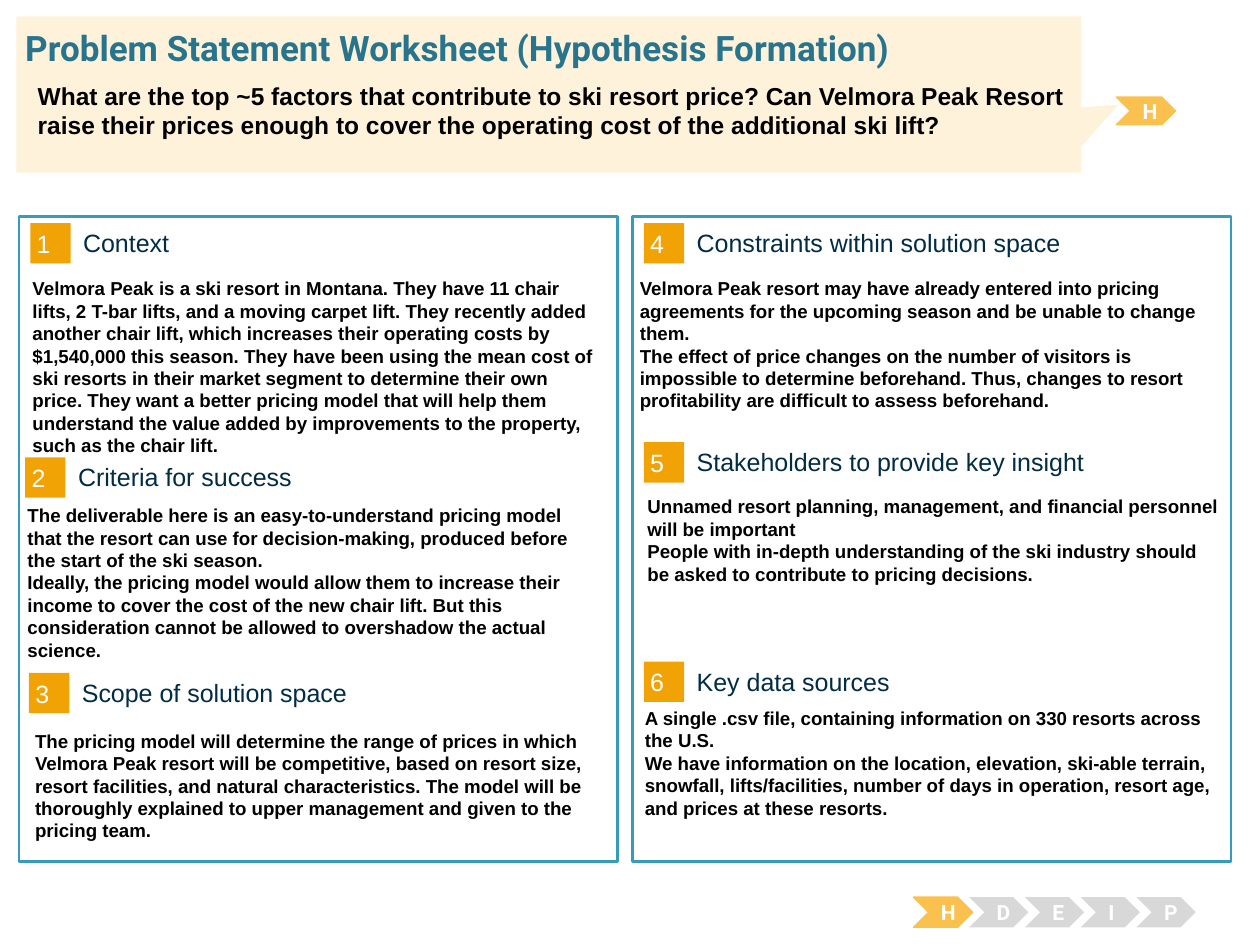
from pptx import Presentation
from pptx.dml.color import RGBColor
from pptx.enum.shapes import MSO_SHAPE as Kind
from pptx.enum.text import MSO_ANCHOR as Anchor, PP_ALIGN as Align
from pptx.util import Inches, Pt

COLS, ROWS = 100, 75
WHITE = RGBColor(0xFF, 0xFF, 0xFF)
BLACK = RGBColor(0, 0, 0)
NAVY = RGBColor(0x00, 0x2C, 0x46)
TEAL = RGBColor(0x29, 0x74, 0x8D)
BLUE = RGBColor(0x37, 0x9B, 0xBD)
ORANGE = RGBColor(0xF1, 0xA2, 0x05)
GOLD = RGBColor(0xFB, 0xC1, 0x4E)
CREAM = RGBColor(0xFE, 0xF2, 0xDA)
GRAY = RGBColor(0xD8, 0xD8, 0xD8)

LEFT = [
    ("1", "Context", (0.9, 0.5), (0.1, 4.3), [
        "Velmora Peak is a ski resort in Montana. They have 11 chair lifts, 2 T-bar lifts, "
        "and a moving carpet lift. They recently added another chair lift, which increases "
        "their operating costs by $1,540,000 this season. They have been using the mean cost "
        "of ski resorts in their market segment to determine their own price. They want a "
        "better pricing model that will help them understand the value added by improvements "
        "to the property, such as the chair lift."]),
    ("2", "Criteria for success", (0.5, 19.1), (-0.3, 22.3), [
        "The deliverable here is an easy-to-understand pricing model that the resort can use "
        "for decision-making, produced before the start of the ski season.",
        "Ideally, the pricing model would allow them to increase their income to cover the "
        "cost of the new chair lift. But this consideration cannot be allowed to overshadow "
        "the actual science."]),
    ("3", "Scope of solution space", (0.8, 36.2), (0.3, 40.2), [
        "The pricing model will determine the range of prices in which Velmora Peak resort "
        "will be competitive, based on resort size, resort facilities, and natural "
        "characteristics. The model will be thoroughly explained to upper management and "
        "given to the pricing team."]),
]
RIGHT = [
    ("4", "Constraints within solution space", (0.9, 0.5), (-0.4, 4.3), [
        "Velmora Peak resort may have already entered into pricing agreements for the "
        "upcoming season and be unable to change them.",
        "The effect of price changes on the number of visitors is impossible to determine "
        "beforehand. Thus, changes to resort profitability are difficult to assess "
        "beforehand."]),
    ("5", "Stakeholders to provide key insight", (0.9, 17.9), (0.2, 21.6), [
        "Unnamed resort planning, management, and financial personnel will be important",
        "People with in-depth understanding of the ski industry should be asked to "
        "contribute to pricing decisions."]),
    ("6", "Key data sources", (0.9, 35.3), (0, 38.4), [
        "A single .csv file, containing information on 330 resorts across the U.S.",
        "We have information on the location, elevation, ski-able terrain, snowfall, "
        "lifts/facilities, number of days in operation, resort age, and prices at these "
        "resorts."]),
]

deck = Presentation()
deck.slide_width, deck.slide_height = Inches(10), Inches(7.5)
slide = deck.slides.add_slide(deck.slide_layouts[6])


def place(x, y, w, h):
    """Turn grid columns and rows into slide lengths."""
    col, row = deck.slide_width / COLS, deck.slide_height / ROWS
    return int(x * col), int(y * row), int(w * col), int(h * row)


def write(shape, lines, size, color, font="Arial", bold=False,
          pad=(0.1, 0.05), anchor=Anchor.TOP, align=Align.LEFT):
    """Fill a shape with evenly styled paragraphs."""
    frame = shape.text_frame
    frame.word_wrap = True
    frame.vertical_anchor = anchor
    frame.margin_left = frame.margin_right = Inches(pad[0])
    frame.margin_top = frame.margin_bottom = Inches(pad[1])
    frame.text = "\n".join(lines)
    for para in frame.paragraphs:
        para.alignment = align
        para.font.name, para.font.size = font, Pt(size)
        para.font.bold, para.font.color.rgb = bold, color


def label(box, lines, size, color, **style):
    """Add a text box."""
    write(slide.shapes.add_textbox(*place(*box)), lines, size, color, **style)


def block(kind, box, fill, line=None, width=0.75):
    """Add a flat filled shape with an optional outline."""
    shape = slide.shapes.add_shape(kind, *place(*box))
    shape.shadow.inherit = False
    shape.fill.solid()
    shape.fill.fore_color.rgb = fill
    if line is None:
        shape.line.fill.background()
    else:
        shape.line.color.rgb = line
        shape.line.width = Pt(width)
    return shape


def panel(box, parts):
    """Draw a framed column of numbered sections."""
    left, top, wide, _ = box
    block(Kind.RECTANGLE, box, WHITE, BLUE, 1.5)
    for num, head, (bx, by), (tx, ty), lines in parts:
        x, y = left + bx, top + by
        badge = block(Kind.RECTANGLE, (x, y, 3.2, 3.2), ORANGE)
        write(badge, [num], 14.3, WHITE, pad=(0.05, 0.05), anchor=Anchor.MIDDLE)
        label((x + 4.2, y + 0.3, 39.3, 2.5), [head], 14.3, NAVY,
              pad=(0, 0), anchor=Anchor.MIDDLE)
        label((left + tx, top + ty, wide - 0.2, 11.8), lines, 10.7, BLACK, bold=True)


def step(box, text, active):
    """Draw one chevron of the process."""
    fill, line = (GOLD, GOLD) if active else (GRAY, None)
    shape = block(Kind.CHEVRON, box, fill, line)
    write(shape, [text], 12, WHITE, font="Roboto", bold=True,
          anchor=Anchor.MIDDLE, align=Align.CENTER)


def track(box, names):
    """Draw the row of process steps with the first one active."""
    left, top, wide, high = box
    for i, name in enumerate(names):
        step((left + i * (wide - 4.7) / (len(names) - 1), top, 4.7, high), name, i == 0)


def header(box):
    """Draw the callout with title, question and its step."""
    left, top, wide, high = box
    step((left + wide + 2.8, top + 6.4, 4.7, 2.2), "H", True)
    call = block(Kind.RECTANGULAR_CALLOUT, box, CREAM)
    call.adjustments[0], call.adjustments[1] = 0.535, 0.066
    label((left + 0.7, top + 0.8, 96.2, 3.4),
          ["Problem Statement Worksheet (Hypothesis Formation)"], 20, TEAL,
          font="Roboto", bold=True, pad=(0, 0))
    label((left + 0.7, top + 4.6, wide - 0.7, 5.4),
          ["What are the top ~5 factors that contribute to ski resort price? Can Velmora "
           "Peak Resort raise their prices enough to cover the operating cost of the "
           "additional ski lift?"], 14, BLACK, bold=True)


for x, parts in ((1.5, LEFT), (50.2, RIGHT)):
    panel((x, 17.2, 47.5, 51.2), parts)
track((72.5, 71.2, 22.4, 2.4), "HDEIP")
header((1.3, 1.3, 84.5, 12.4))
deck.save("out.pptx")
